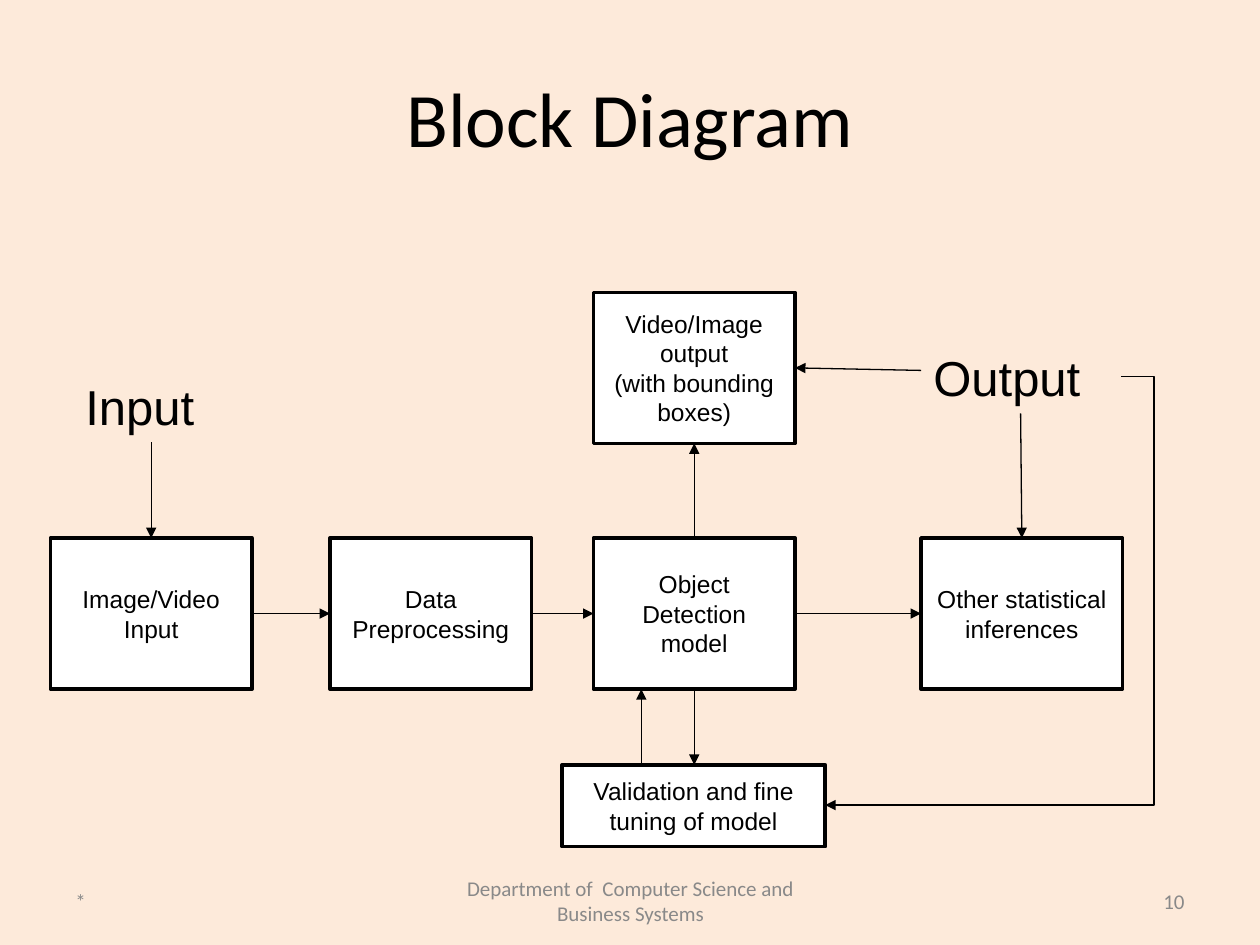
import pptx
import pptx.util
import pptx.dml.color
import pptx.enum.shapes
import pptx.enum.text
import pptx.oxml
import pptx.oxml.ns
from pptx.util import Inches

HUES = {"back": "FDEADA", "ink": "000000", "box": "FFFFFF", "foot": "898989"}
KIND = pptx.enum.shapes.MSO_CONNECTOR
ALIGN = pptx.enum.text.PP_ALIGN
ANCHOR = pptx.enum.text.MSO_ANCHOR


def hue(name):
    return pptx.dml.color.RGBColor.from_string(HUES[name])


class Chart:
    def __init__(self, deck):
        self.slide = deck.slides.add_slide(deck.slide_layouts[6])
        fill = self.slide.background.fill
        fill.solid()
        fill.fore_color.rgb = hue("back")

    def label(self, shape, words, size, font, color, align, anchor):
        frame = shape.text_frame
        frame.word_wrap = True
        frame.vertical_anchor = anchor
        frame.text = words
        for para in frame.paragraphs:
            para.alignment = align
            for run in para.runs:
                run.font.size = pptx.util.Pt(size)
                run.font.name = font
                run.font.color.rgb = hue(color)

    def text(self, words, at, size, font="Calibri", color="ink",
             align=ALIGN.LEFT, anchor=ANCHOR.MIDDLE):
        shape = self.slide.shapes.add_textbox(*map(Inches, at))
        self.label(shape, words, size, font, color, align, anchor)

    def box(self, words, left, top, width=1.6, height=1.2):
        shape = self.slide.shapes.add_shape(
            pptx.enum.shapes.MSO_SHAPE.RECTANGLE,
            *map(Inches, (left, top, width, height)))
        shape.shadow.inherit = False
        shape.fill.solid()
        shape.fill.fore_color.rgb = hue("box")
        shape.line.color.rgb = hue("ink")
        shape.line.width = pptx.util.Pt(2)
        self.label(shape, words, 14, "Arial", "ink", ALIGN.CENTER, ANCHOR.MIDDLE)

    def arrow(self, start, end, bend=None):
        kind = KIND.STRAIGHT if bend is None else KIND.ELBOW
        link = self.slide.shapes.add_connector(kind, *map(Inches, start + end))
        link.line.color.rgb = hue("ink")
        link.line.width = pptx.util.Pt(0.75)
        props = link._element.spPr
        name = pptx.oxml.ns.qn
        line = props.find(name("a:ln"))
        line.append(line.makeelement(name("a:tailEnd"), {"type": "triangle"}))
        props.append(props.makeelement(name("a:effectLst"), {}))
        if bend is not None:
            geom = props.find(name("a:prstGeom"))
            guides = geom.find(name("a:avLst"))
            if guides is None:
                guides = geom.makeelement(name("a:avLst"), {})
                geom.append(guides)
            guides.append(guides.makeelement(name("a:gd"), {
                "name": "adj1", "fmla": f"val {round(bend * 100000)}"}))


deck = pptx.Presentation()
deck.slide_width, deck.slide_height = Inches(10), Inches(7.5)
chart = Chart(deck)

# Title and footer
chart.text("Block Diagram", (0.5, 0.3, 9, 1.25), 44, align=ALIGN.CENTER)
for words, left, width, align in (
        ("*", 0.5, 2.33, ALIGN.LEFT),
        ("Department of  Computer Science and Business Systems",
         3.42, 3.17, ALIGN.CENTER),
        ("10", 7.17, 2.33, ALIGN.RIGHT)):
    chart.text(words, (left, 6.95, width, 0.4), 12, color="foot", align=align)

# Main row of steps, joined left to right
WIDE, TALL, ROW = 1.6, 1.2, 4.27
MID, LOW = ROW + TALL / 2, ROW + TALL
steps = [("Image/Video Input", 0.4), ("Data Preprocessing", 2.62),
         ("Object Detection\nmodel", 4.71),
         ("Other statistical\ninferences", 7.31)]
for words, left in steps:
    chart.box(words, left, ROW)
for (_, left), (_, after) in zip(steps, steps[1:]):
    chart.arrow((left + WIDE, MID), (after, MID))

# Boxes above and below the model
model = steps[2][1]
core = model + WIDE / 2
chart.box("Video/Image output\n(with bounding boxes)", model, 2.32)
chart.box("Validation and fine tuning of model", 4.46, 6.07, 2.09, 0.65)
chart.arrow((core, ROW), (core, 3.52))
chart.arrow((core, LOW), (core, 6.07))
chart.arrow((5.09, 6.07), (5.09, LOW))

# Input and output labels with their arrows
for words, at in (("Input", (0.58, 2.94, 1.23, 0.57)),
                  ("Output", (7.31, 2.71, 1.59, 0.57))):
    chart.text(words, at, 28, "Arial", anchor=ANCHOR.TOP)
chart.arrow((1.2, 3.51), (1.2, ROW))
chart.arrow((8.1, 3.28), (8.11, ROW))
chart.arrow((7.31, 2.94), (6.31, 2.92))
chart.arrow((8.9, 2.99), (6.55, 6.39), bend=-0.11)

deck.save("out.pptx")
